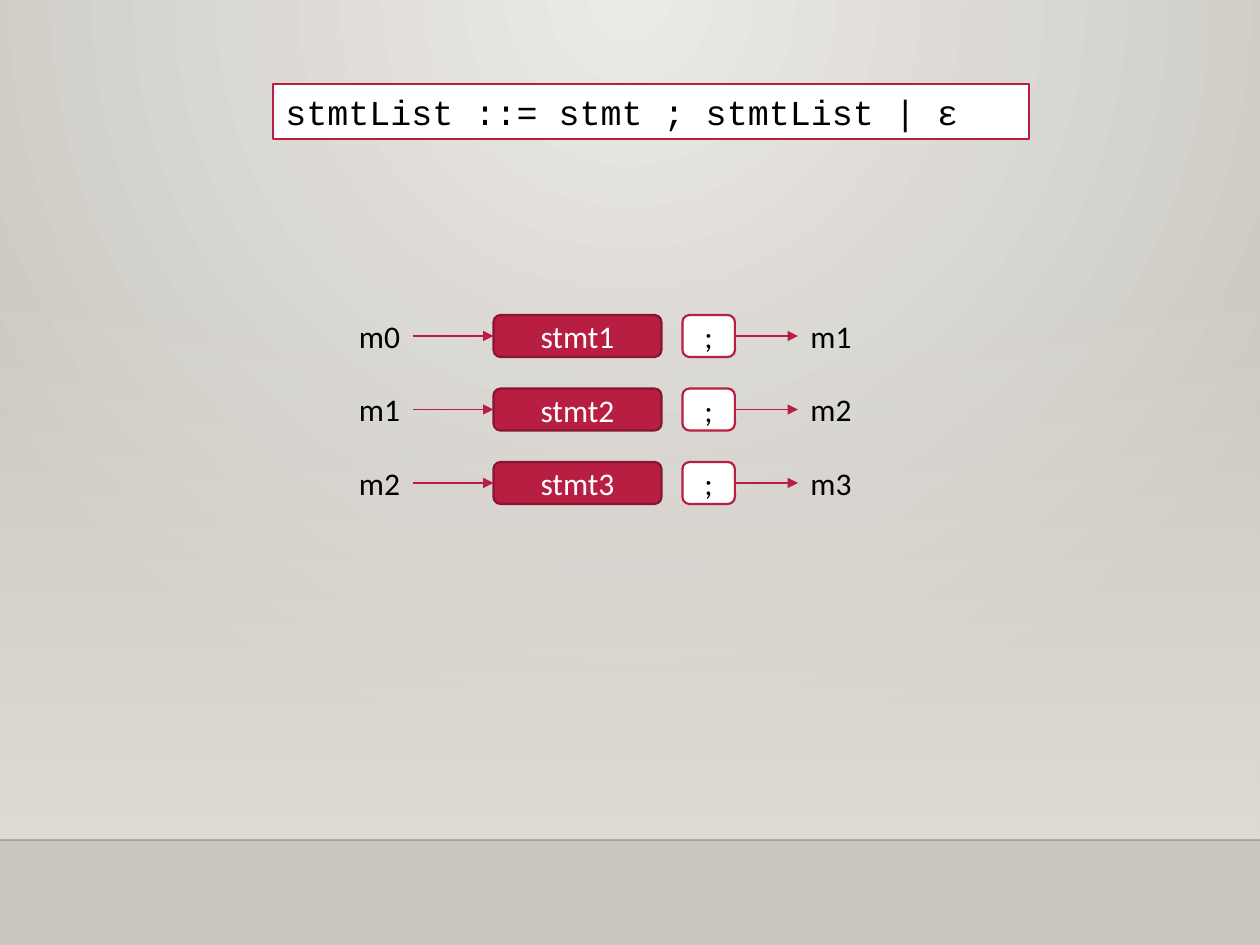
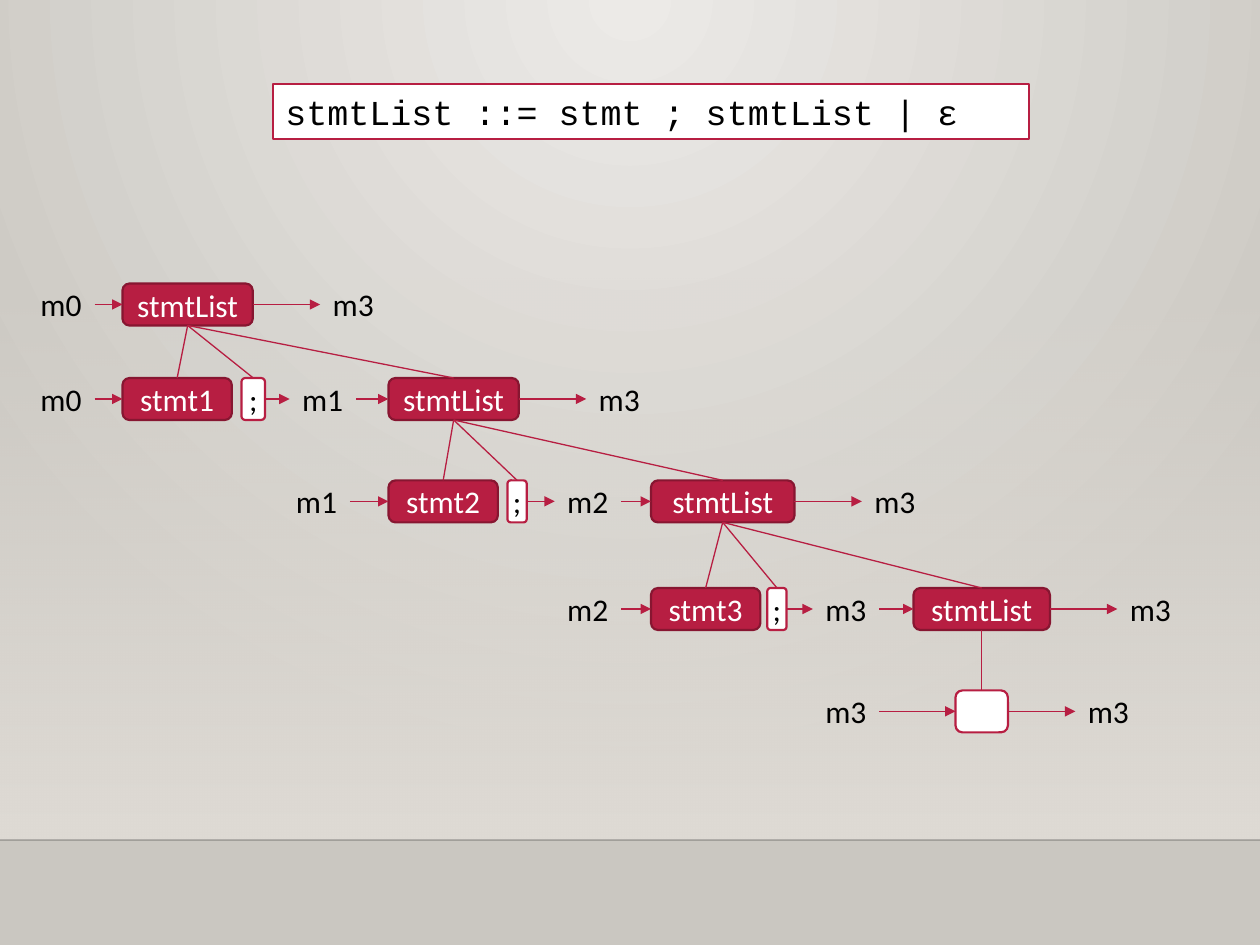
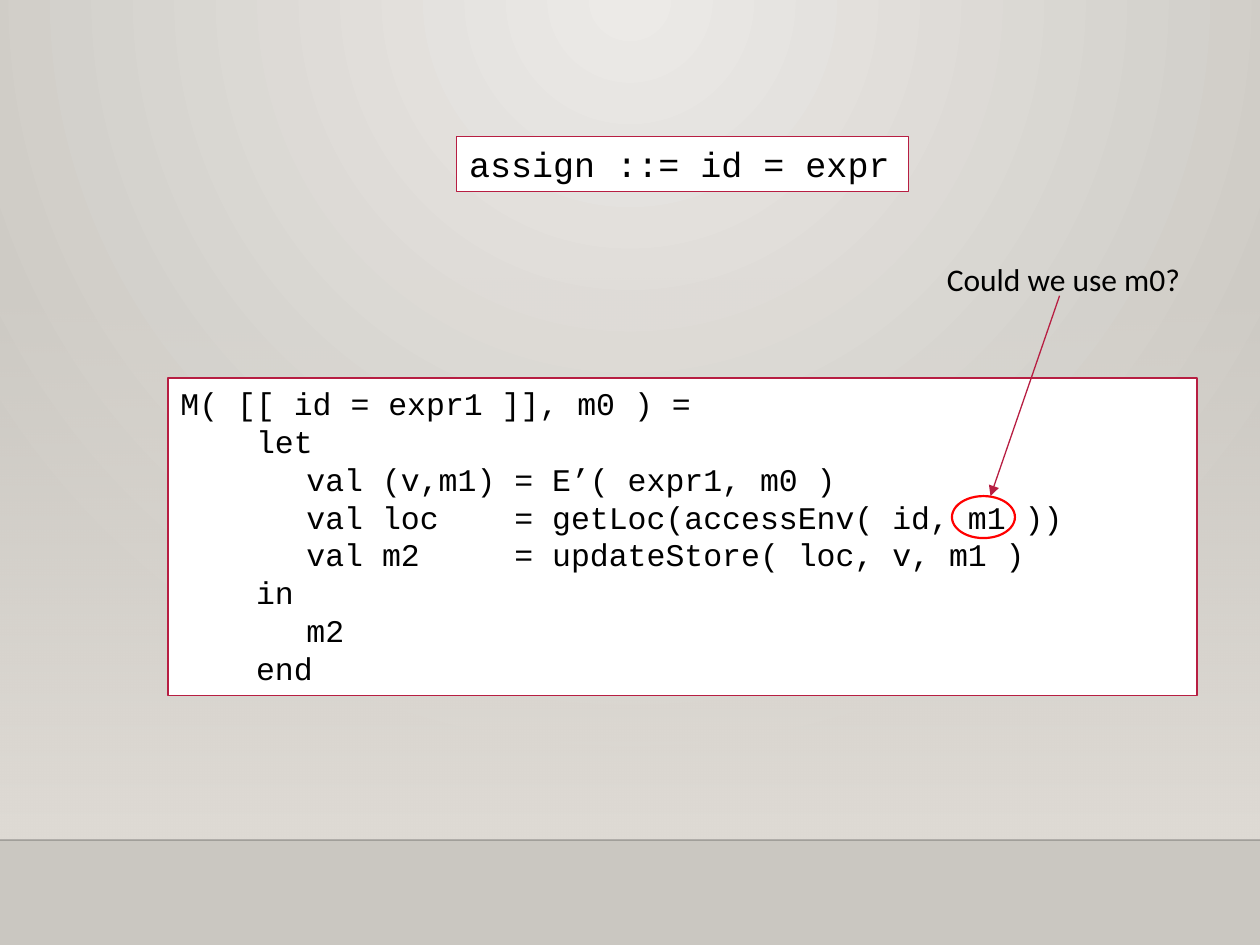
from dataclasses import dataclass
from typing import Optional

from lxml.etree import SubElement
from pptx import Presentation
from pptx.dml.color import RGBColor
from pptx.enum.shapes import MSO_AUTO_SHAPE_TYPE as Preset, MSO_CONNECTOR as Connector
from pptx.enum.text import MSO_ANCHOR as Anchor, MSO_AUTO_SIZE as AutoSize, PP_ALIGN as Align
from pptx.oxml.ns import qn
from pptx.util import Pt

# Colours
CRIMSON = RGBColor(0xB7, 0x1E, 0x42)
DARK_CRIMSON = RGBColor(0x87, 0x16, 0x31)
RED = RGBColor(0xFF, 0x00, 0x00)
WHITE = RGBColor(0xFF, 0xFF, 0xFF)
BLACK = RGBColor(0x00, 0x00, 0x00)
GLOW = RGBColor(0xEC, 0xEA, 0xE7)
STONE = RGBColor(0xCA, 0xC7, 0xC1)
HAZE = RGBColor(0xDF, 0xDB, 0xD5)
FLOOR_LINE = RGBColor(0x00, 0x00, 0x01)

# Fonts and sizes, in points
SANS, MONO = "Calibri", "Courier New"
SLIDE_WIDTH, SLIDE_HEIGHT = 720, 540
HAZE_TOP, FLOOR_TOP = 158.5, 480
TOKEN_HEIGHT, TOKEN_MARGIN = 24, 2
LABEL_WIDTH, LABEL_HEIGHT = 38, 29
OUTPUT_GAP = 38.5
TOP, LEFT, BOTTOM, RIGHT = range(4)

GRAMMAR = "stmtList ::= stmt ; stmtList | ε"
CODE = (
    "M( [[ id = expr1 ]], m0 ) =",
    "\tlet",
    "\t\tval (v,m1)\t= E’( expr1, m0 )",
    "\t\tval loc\t= getLoc(accessEnv( id, m1 ))",
    "\t\tval m2\t= updateStore( loc, v, m1 )",
    "\tin",
    "\t\tm2",
    "\tend",
)
CODE_TABS = (43.2, 72, 190.8)


@dataclass(frozen=True)
class Look:
    fill: Optional[RGBColor]
    line: RGBColor
    weight: float
    ink: RGBColor = BLACK
    preset: Preset = Preset.ROUNDED_RECTANGLE


NONTERMINAL = Look(CRIMSON, DARK_CRIMSON, 1.25, WHITE)
TERMINAL = Look(WHITE, CRIMSON, 1.25)
PANEL = Look(WHITE, CRIMSON, 0.75, preset=Preset.RECTANGLE)
RING = Look(None, RED, 1.25, preset=Preset.OVAL)


@dataclass(frozen=True)
class Expansion:
    """One row of the tree: a statement, its semicolon and the remaining list."""
    top: float
    state_in: str
    in_x: float
    stmt: str
    stmt_x: float
    semi_x: float
    semi_width: float
    state_out: str
    out_x: float
    list_x: float
    list_width: float


EXPANSIONS = (
    Expansion(216, "m0", 16, "stmt1", 70, 138, 13.5, "m1", 165.5, 222, 74.5),
    Expansion(274.5, "m1", 162, "stmt2", 222, 290, 11, "m2", 317, 372, 82),
    Expansion(336, "m2", 317, "stmt3", 372, 438.5, 11, "m3", 464.5, 522, 78),
)


def add_alpha(colour_parent, percent: int) -> None:
    colour = colour_parent.xpath(".//a:srgbClr")[0]
    SubElement(colour, qn("a:alpha"), val=str(percent * 1000))


def write(paragraph, text: str, font: str, size: float, ink: RGBColor) -> None:
    run = paragraph.add_run()
    run.text = text
    run.font.name = font
    run.font.size = Pt(size)
    run.font.color.rgb = ink


def add_box(slide, look: Look, x: float, y: float, width: float, height: float):
    box = slide.shapes.add_shape(look.preset, Pt(x), Pt(y), Pt(width), Pt(height))
    box.shadow.inherit = False
    if look.fill is None:
        box.fill.background()
    else:
        box.fill.solid()
        box.fill.fore_color.rgb = look.fill
    box.line.color.rgb = look.line
    box.line.width = Pt(look.weight)
    return box


def add_token(slide, look: Look, text: str, x: float, y: float, width: float):
    token = add_box(slide, look, x, y, width, TOKEN_HEIGHT)
    frame = token.text_frame
    frame.vertical_anchor = Anchor.MIDDLE
    frame.margin_left = frame.margin_right = Pt(TOKEN_MARGIN)
    if text:
        paragraph = frame.paragraphs[0]
        paragraph.alignment = Align.CENTER
        write(paragraph, text, SANS, 18, look.ink)
    return token


def add_panel(slide, lines: tuple[str, ...], size: float, x: float, y: float,
              width: float, height: float, tabs: tuple[float, ...] = ()) -> None:
    panel = add_box(slide, PANEL, x, y, width, height)
    frame = panel.text_frame
    frame.word_wrap = True
    frame.auto_size = AutoSize.SHAPE_TO_FIT_TEXT
    frame.vertical_anchor = Anchor.TOP
    for index, line in enumerate(lines):
        paragraph = frame.add_paragraph() if index else frame.paragraphs[0]
        paragraph.alignment = Align.LEFT
        if tabs:
            stops = SubElement(paragraph._p.get_or_add_pPr(), qn("a:tabLst"))
            for stop in tabs:
                SubElement(stops, qn("a:tab"), pos=str(Pt(stop)), algn="l")
        write(paragraph, line, MONO, size, PANEL.ink)


def add_label(slide, text: str, x: float, y: float, width: float = LABEL_WIDTH):
    label = slide.shapes.add_textbox(Pt(x), Pt(y), Pt(width), Pt(LABEL_HEIGHT))
    label.text_frame.word_wrap = False
    label.text_frame.auto_size = AutoSize.SHAPE_TO_FIT_TEXT
    write(label.text_frame.paragraphs[0], text, SANS, 18, BLACK)
    return label


def add_state(slide, text: str, x: float, row_top: float):
    """A memory state, centred on the row of tokens that starts at row_top."""
    return add_label(slide, text, x, row_top + (TOKEN_HEIGHT - LABEL_HEIGHT) / 2)


def add_line(slide, x1: float = 0, y1: float = 0, x2: float = 0, y2: float = 0,
             arrow: bool = False, colour: RGBColor = CRIMSON, weight: float = 0.75):
    line = slide.shapes.add_connector(Connector.STRAIGHT, Pt(x1), Pt(y1), Pt(x2), Pt(y2))
    line.line.color.rgb = colour
    line.line.width = Pt(weight)
    if arrow:
        SubElement(line.line._get_or_add_ln(), qn("a:tailEnd"), type="triangle")
    SubElement(line.element.spPr, qn("a:effectLst"))
    return line


def add_flow(slide, source, target) -> None:
    arrow = add_line(slide, arrow=True)
    arrow.begin_connect(source, RIGHT)
    arrow.end_connect(target, LEFT)


def add_branch(slide, parent, child) -> None:
    branch = add_line(slide)
    branch.begin_connect(parent, BOTTOM)
    branch.end_connect(child, TOP)


def add_grammar(slide) -> None:
    add_panel(slide, (GRAMMAR,), 20, 156, 48, 432, 31.5)


def decorate_master(prs, slide) -> None:
    """Background glow, haze and floor line, held by the master."""
    master = prs.slide_master
    backdrop = master.background.fill
    backdrop.gradient()
    for stop, colour in zip(backdrop.gradient_stops, (GLOW, STONE)):
        stop.color.rgb = colour
    gradient = master.element.xpath("./p:cSld/p:bg//a:gradFill")[0]
    for linear in gradient.xpath("./a:lin"):
        gradient.remove(linear)
    circle = SubElement(gradient, qn("a:path"), {"path": "circle"})
    SubElement(circle, qn("a:fillToRect"), l="43000", t="0", r="43000", b="100000")

    haze = slide.shapes.add_shape(Preset.RECTANGLE, 0, Pt(HAZE_TOP), Pt(SLIDE_WIDTH),
                                  Pt(FLOOR_TOP - HAZE_TOP))
    haze.shadow.inherit = False
    haze.line.fill.background()
    haze.fill.gradient()
    haze.fill.gradient_angle = 270
    for stop in haze.fill.gradient_stops:
        stop.color.rgb = HAZE
    add_alpha(haze.element.xpath(".//a:gs")[0], 0)

    floor = add_line(slide, 0, FLOOR_TOP, SLIDE_WIDTH, FLOOR_TOP, colour=FLOOR_LINE, weight=1)
    add_alpha(floor.element.xpath(".//a:ln")[0], 20)
    for number, part in enumerate((haze, floor), start=20):
        part.element.xpath(".//p:cNvPr")[0].set("id", str(number))
        master.shapes.element.append(part.element)


def build_sequence(slide) -> None:
    """Each statement turns one memory state into the next."""
    add_grammar(slide)
    for row in range(3):
        top = 180 + 42 * row
        before = add_state(slide, f"m{row}", 198, top)
        stmt = add_token(slide, NONTERMINAL, f"stmt{row + 1}", 282, top, 96)
        semicolon = add_token(slide, TERMINAL, ";", 390, top, 30)
        after = add_state(slide, f"m{row + 1}", 456, top)
        add_flow(slide, before, stmt)
        add_flow(slide, semicolon, after)


def add_output(slide, token, x: float, top: float) -> None:
    add_flow(slide, token, add_state(slide, "m3", x + OUTPUT_GAP, top))


def build_tree(slide) -> None:
    """Parse tree with the memory states threaded through it."""
    add_grammar(slide)
    parent = add_token(slide, NONTERMINAL, "stmtList", 70, 162, 74.5)
    add_flow(slide, add_state(slide, "m0", 16, 162), parent)
    add_output(slide, parent, 144.5, 162)

    for row in EXPANSIONS:
        before = add_state(slide, row.state_in, row.in_x, row.top)
        stmt = add_token(slide, NONTERMINAL, row.stmt, row.stmt_x, row.top, 62.5)
        semicolon = add_token(slide, TERMINAL, ";", row.semi_x, row.top, row.semi_width)
        between = add_state(slide, row.state_out, row.out_x, row.top)
        rest = add_token(slide, NONTERMINAL, "stmtList", row.list_x, row.top, row.list_width)
        for source, target in ((before, stmt), (semicolon, between), (between, rest)):
            add_flow(slide, source, target)
        add_output(slide, rest, row.list_x + row.list_width, row.top)
        for child in (stmt, semicolon, rest):
            add_branch(slide, parent, child)
        parent = rest

    # The last list is empty
    empty = add_token(slide, TERMINAL, "", 546, 394.5, 30)
    add_branch(slide, parent, empty)
    add_flow(slide, add_state(slide, "m3", 464.5, 394.5), empty)
    add_output(slide, empty, 576, 394.5)


def build_assignment(slide) -> None:
    """Meaning of an assignment, with a question about the state it uses."""
    add_panel(slide, ("assign ::= id = expr",), 20, 261, 78, 258, 31.5)
    add_panel(slide, CODE, 18, 96, 216, 588, 181.5, CODE_TABS)
    add_box(slide, RING, 544, 283.5, 36, 24)
    add_line(slide, 605.5, 169, 566, 283.5, arrow=True)
    add_label(slide, "Could we use m0?", 534, 145, 150)


def main() -> None:
    prs = Presentation()
    prs.slide_width, prs.slide_height = Pt(SLIDE_WIDTH), Pt(SLIDE_HEIGHT)
    blank = prs.slide_layouts[6]
    builders = (build_sequence, build_tree, build_assignment)
    slides = [prs.slides.add_slide(blank) for _ in builders]
    decorate_master(prs, slides[0])
    for build, slide in zip(builders, slides):
        build(slide)
    prs.save("out.pptx")


if __name__ == "__main__":
    main()
